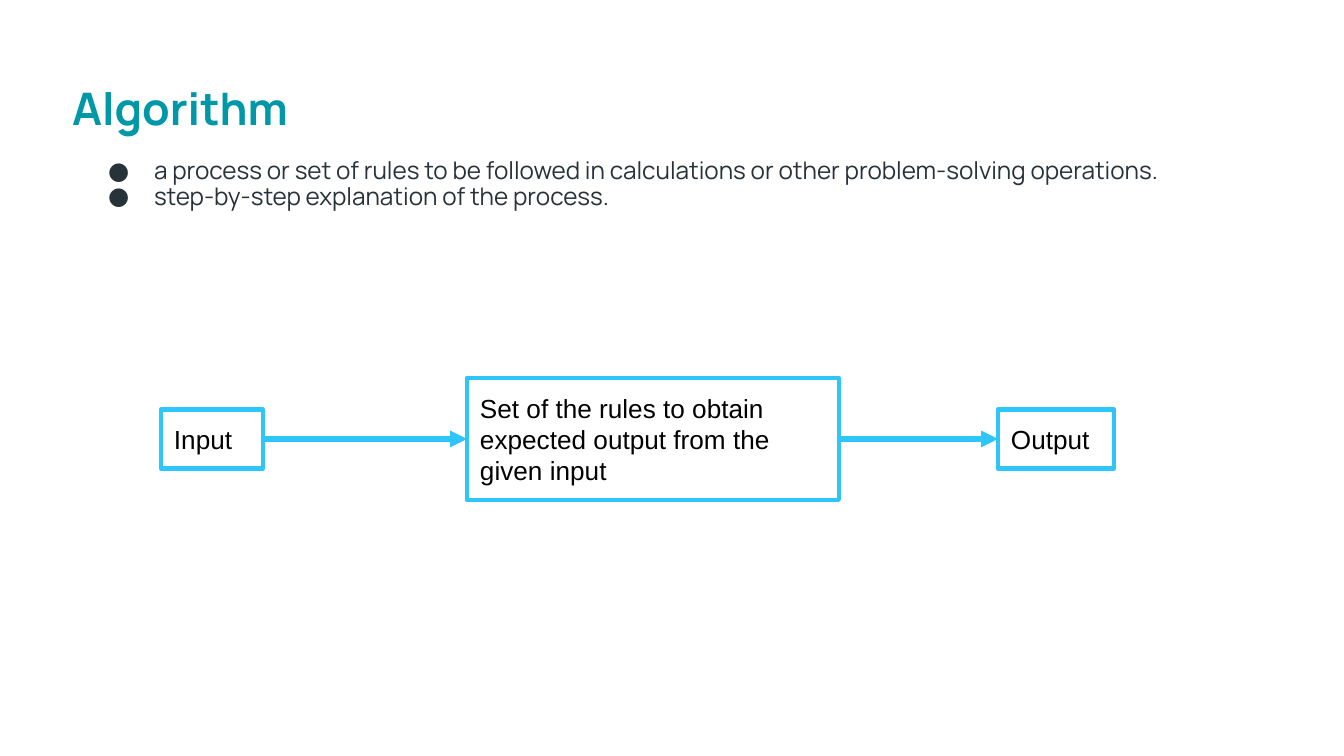
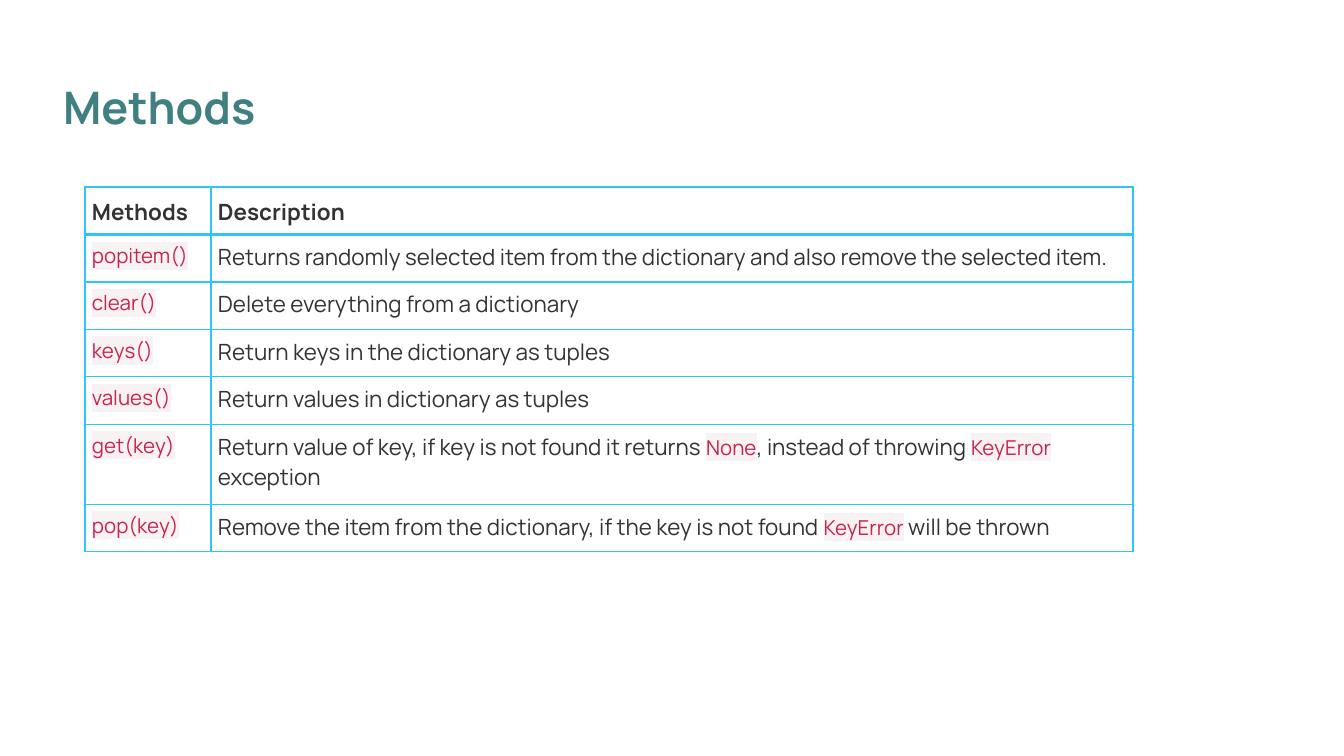
from itertools import pairwise

from lxml import etree
from pptx import Presentation
from pptx.dml.color import RGBColor
from pptx.enum.shapes import MSO_CONNECTOR, MSO_SHAPE
from pptx.enum.text import MSO_ANCHOR, MSO_AUTO_SIZE, PP_ALIGN
from pptx.oxml.ns import qn
from pptx.util import Emu, Pt

RECTANGLE = MSO_SHAPE.RECTANGLE
STRAIGHT = MSO_CONNECTOR.STRAIGHT
LEFT = PP_ALIGN.LEFT
TOP, MIDDLE, BOTTOM = MSO_ANCHOR.TOP, MSO_ANCHOR.MIDDLE, MSO_ANCHOR.BOTTOM
NO_AUTOFIT = MSO_AUTO_SIZE.NONE
LEFT_SITE, RIGHT_SITE = 1, 3
TITLE_AND_BODY, TITLE_ONLY = 1, 5

TEAL = RGBColor(0x00, 0x97, 0xA7)
SEA_GREEN = RGBColor(0x40, 0x80, 0x80)
SLATE = RGBColor(0x27, 0x32, 0x39)
SKY = RGBColor(0x2D, 0xC5, 0xFA)
CHARCOAL = RGBColor(0x33, 0x33, 0x33)
CRIMSON = RGBColor(0xC7, 0x25, 0x4E)
BLUSH = RGBColor(0xF9, 0xF2, 0xF4)
BLACK = RGBColor(0, 0, 0)
WHITE = RGBColor(0xFF, 0xFF, 0xFF)

BRAND_FONT = "Manrope"
FLOW_FONT = "Arial"
SLIDE_WIDTH, SLIDE_HEIGHT = 1344, 756
TEXT_INSET, CELL_INSET = 13, 7

DEFINITION = [
    "a process or set of rules to be followed in calculations or other problem-solving operations.",
    "step-by-step explanation of the process.",
]
# text, left, width, height
FLOW_STEPS = [
    ("Input", 161, 102, 59),
    ("Set of the rules to obtain expected output from the given input", 467, 372, 122),
    ("Output", 998, 116, 59),
]
FLOW_CENTRE = 439

# Backticks enclose code
METHODS = [
    ("Methods", "Description"),
    ("`popitem()`", "Returns randomly selected item from the dictionary and also remove the selected item."),
    ("`clear()`", "Delete everything from a dictionary"),
    ("`keys()`", "Return keys in the dictionary as tuples"),
    ("`values()`", "Return values in dictionary as tuples"),
    ("`get(key)`", "Return value of key, if key is not found it returns `None`, "
                   "instead of throwing `KeyError` exception"),
    ("`pop(key)`", "Remove the item from the dictionary, if the key is not found `KeyError` will be thrown"),
]
COLUMN_WIDTHS = (126, 922)
TABLE_LEFT, TABLE_TOP, TABLE_HEIGHT = 85, 187, 365
TWO_LINE_ROW, TWO_LINE_HEIGHT = 5, 80


def px(length):
    return Emu(round(length * 914400 / 134.4))


def place(shape, left, top, width, height):
    shape.left, shape.top, shape.width, shape.height = map(px, (left, top, width, height))


def set_font(font, name, size, colour, bold=False):
    font.name, font.size, font.bold = name, Pt(size), bold
    font.color.rgb = colour


def set_frame(frame, anchor):
    frame.word_wrap = True
    frame.auto_size = NO_AUTOFIT
    frame.vertical_anchor = anchor
    frame.margin_left = frame.margin_right = px(TEXT_INSET)
    frame.margin_top = frame.margin_bottom = px(TEXT_INSET)


def add_colour(parent, tag, colour):
    element = etree.SubElement(parent, qn(tag))
    etree.SubElement(element, qn("a:srgbClr"), val=str(colour))
    return element


def add_title(slide, text, colour, left, top, height):
    title = slide.shapes.title
    place(title, left, top, 1220, height)
    set_frame(title.text_frame, TOP)
    title.text_frame.text = text
    paragraph = title.text_frame.paragraphs[0]
    paragraph.alignment = LEFT
    paragraph.line_spacing = 1.3
    set_font(paragraph.font, BRAND_FONT, 24, colour, bold=True)


def add_bullets(slide, items):
    body = slide.placeholders[1]
    place(body, 74, 146, 1150, 114)
    set_frame(body.text_frame, TOP)
    body.text_frame.text = "\n".join(items)
    for paragraph in body.text_frame.paragraphs:
        paragraph.alignment = LEFT
        paragraph.space_before = Pt(0)
        paragraph.line_spacing = 0.88
        properties = paragraph._p.get_or_add_pPr()
        properties.set("marL", str(px(67)))
        properties.set("indent", str(px(-46)))
        add_colour(properties, "a:buClr", SLATE)
        etree.SubElement(properties, qn("a:buFont"), typeface=BRAND_FONT)
        etree.SubElement(properties, qn("a:buChar"), char="●")
        set_font(paragraph.font, BRAND_FONT, 13, SLATE)


def add_step(slide, text, left, width, height):
    step = slide.shapes.add_shape(RECTANGLE, 0, 0, 0, 0)
    place(step, left, FLOW_CENTRE - height / 2, width, height)
    step.shadow.inherit = False
    step.fill.background()
    step.line.color.rgb = SKY
    step.line.width = Pt(2.25)
    set_frame(step.text_frame, MIDDLE)
    step.text_frame.text = text
    paragraph = step.text_frame.paragraphs[0]
    paragraph.alignment = LEFT
    set_font(paragraph.font, FLOW_FONT, 14, BLACK)
    return step


def add_arrow(slide, source, target):
    arrow = slide.shapes.add_connector(STRAIGHT, 0, 0, 0, 0)
    arrow.begin_connect(source, RIGHT_SITE)
    arrow.end_connect(target, LEFT_SITE)
    arrow.line.color.rgb = SKY
    arrow.line.width = Pt(3)
    etree.SubElement(arrow.line._get_or_add_ln(), qn("a:tailEnd"), type="triangle")
    etree.SubElement(arrow._element.spPr, qn("a:effectLst"))


def add_borders(cell, top, bottom):
    properties = cell._tc.get_or_add_tcPr()
    for side, width in (("L", 0.75), ("R", 0.75), ("T", top), ("B", bottom)):
        border = etree.SubElement(properties, qn(f"a:ln{side}"), w=str(Pt(width)))
        add_colour(border, "a:solidFill", SKY)


def fill_cell(cell, text, row):
    add_borders(cell, top=1.5 if row == 1 else 0.75, bottom=1.5 if row == 0 else 0.75)
    cell.fill.solid()
    cell.fill.fore_color.rgb = WHITE
    cell.margin_left = cell.margin_right = px(CELL_INSET)
    cell.margin_top = cell.margin_bottom = px(CELL_INSET)
    cell.vertical_anchor = BOTTOM if row == 0 else TOP
    paragraph = cell.text_frame.paragraphs[0]
    for index, part in enumerate(text.split("`")):
        if not part:
            continue
        run = paragraph.add_run()
        run.text = part
        if index % 2:
            set_font(run.font, BRAND_FONT, 11, CRIMSON)
            highlight = add_colour(run._r.rPr, "a:highlight", BLUSH)
            run._r.rPr.find(qn("a:solidFill")).addnext(highlight)
        else:
            set_font(run.font, BRAND_FONT, 12, CHARCOAL, bold=row == 0)


def add_methods_table(slide):
    table = slide.shapes.add_table(
        len(METHODS), len(COLUMN_WIDTHS), px(TABLE_LEFT), px(TABLE_TOP),
        px(sum(COLUMN_WIDTHS)), px(TABLE_HEIGHT)).table
    table.horz_banding = False
    for column, width in zip(table.columns, COLUMN_WIDTHS):
        column.width = px(width)
    row_height = (TABLE_HEIGHT - TWO_LINE_HEIGHT) / (len(METHODS) - 1)
    for row, texts in enumerate(METHODS):
        table.rows[row].height = px(TWO_LINE_HEIGHT if row == TWO_LINE_ROW else row_height)
        for column, text in enumerate(texts):
            fill_cell(table.cell(row, column), text, row)


def main():
    deck = Presentation()
    deck.slide_width, deck.slide_height = px(SLIDE_WIDTH), px(SLIDE_HEIGHT)

    algorithm = deck.slides.add_slide(deck.slide_layouts[TITLE_AND_BODY])
    add_title(algorithm, "Algorithm", TEAL, 59, 52, 122)
    add_bullets(algorithm, DEFINITION)
    steps = [add_step(algorithm, *step) for step in FLOW_STEPS]
    for source, target in pairwise(steps):
        add_arrow(algorithm, source, target)

    methods = deck.slides.add_slide(deck.slide_layouts[TITLE_ONLY])
    add_title(methods, "Methods", SEA_GREEN, 50, 51, 82)
    add_methods_table(methods)

    deck.save("out.pptx")


if __name__ == "__main__":
    main()
